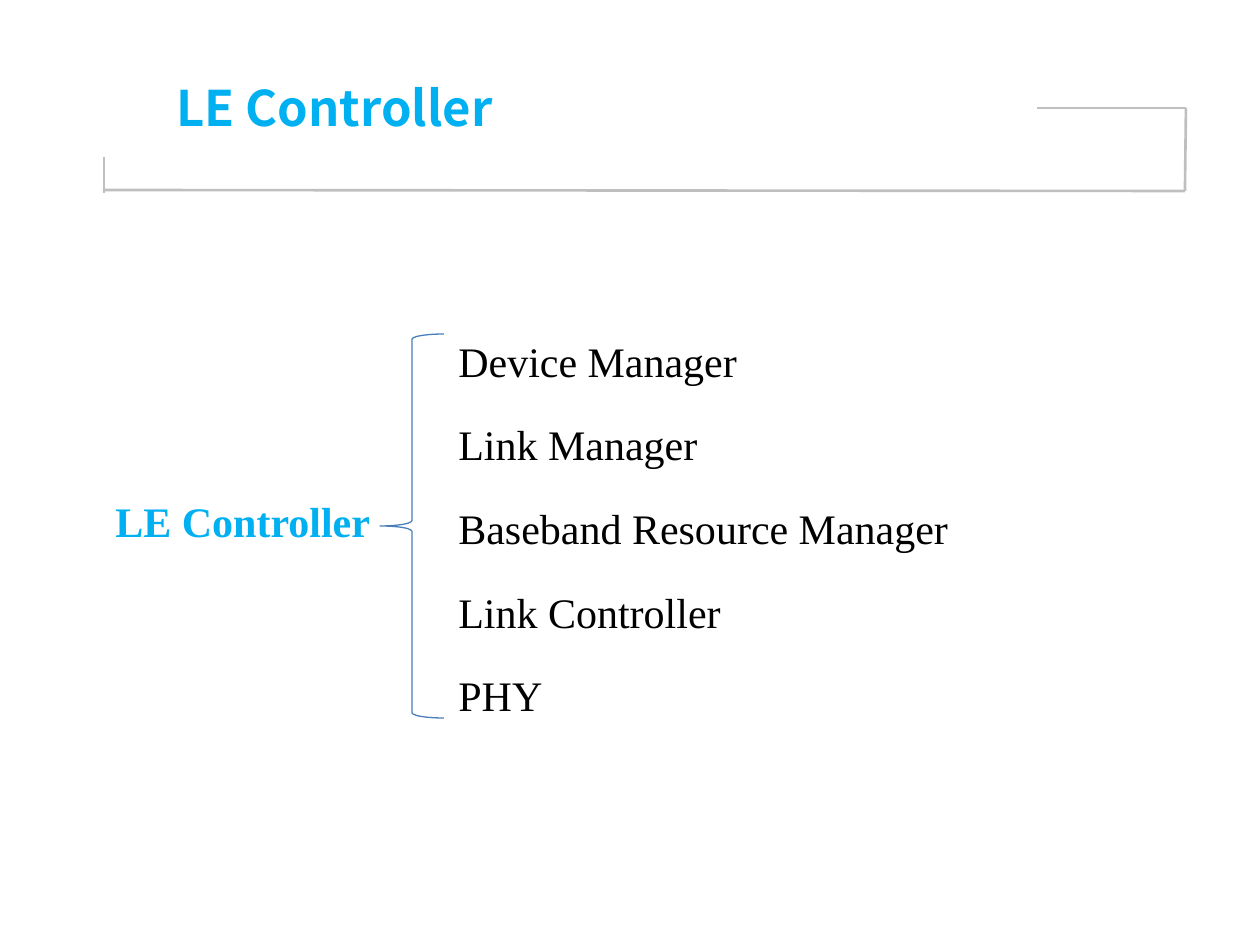
from lxml.etree import SubElement
from pptx import Presentation
from pptx.dml.color import RGBColor
from pptx.enum.shapes import MSO_CONNECTOR, MSO_SHAPE
from pptx.oxml.ns import qn
from pptx.util import Pt

PX = 914400 // 126
COLORS = {"blue": "00B0F0", "black": "000000", "gray": "BFBFBF", "brace": "4A7EBB"}
SANS, SERIF = "Noto Sans CJK SC", "Times New Roman"

TITLE = "LE Controller"
ROOT = "LE Controller"
PARTS = ["Device Manager", "Link Manager", "Baseband Resource Manager",
         "Link Controller", "PHY"]

# Frame lines: start x, start y, end x, end y
FRAME = [(104, 157, 104, 193), (103, 190, 1185, 191),
         (1185, 191, 1186, 108), (1186, 108, 1037, 108)]
BRACE = (380, 334, 64, 384)


def emu(box):
    return [n * PX for n in box]


def color(name):
    return RGBColor.from_string(COLORS[name])


def add_text(slide, box, lines, size, font, tint, bold=False, gap=0):
    """Add a text box with one paragraph a line, gap points apart."""
    frame = slide.shapes.add_textbox(*emu(box)).text_frame
    frame.word_wrap = True
    frame.text = "\n".join(lines)
    for i, para in enumerate(frame.paragraphs):
        para.space_before = Pt(gap if i else 0)
        for run in para.runs:
            run.font.size = Pt(size)
            run.font.name = font
            run.font.bold = bold
            run.font.color.rgb = color(tint)
    return frame


def add_line(slide, ends):
    line = slide.shapes.add_connector(MSO_CONNECTOR.STRAIGHT, *emu(ends))
    line.line.color.rgb = color("gray")
    line.line.width = Pt(1.5)
    SubElement(line._element.spPr, qn("a:effectLst"))


def add_brace(slide, box):
    brace = slide.shapes.add_shape(MSO_SHAPE.LEFT_BRACE, *emu(box))
    brace.shadow.inherit = False
    brace.fill.background()
    brace.line.color.rgb = color("brace")
    brace.line.width = Pt(0.75)


def main():
    deck = Presentation()
    deck.slide_width, deck.slide_height = emu((1260, 945))
    slide = deck.slides.add_slide(deck.slide_layouts[6])
    for ends in FRAME:
        add_line(slide, ends)
    title = add_text(slide, (164, 78, 341, 72), [TITLE], 28, SANS, "blue", True)
    title.word_wrap = False
    title.margin_top = 0
    add_text(slide, (446, 329, 518, 391), PARTS, 24, SERIF, "black", gap=19)
    add_text(slide, (103, 489, 282, 63), [ROOT], 24, SERIF, "blue", True)
    add_brace(slide, BRACE)
    deck.save("out.pptx")


if __name__ == "__main__":
    main()
